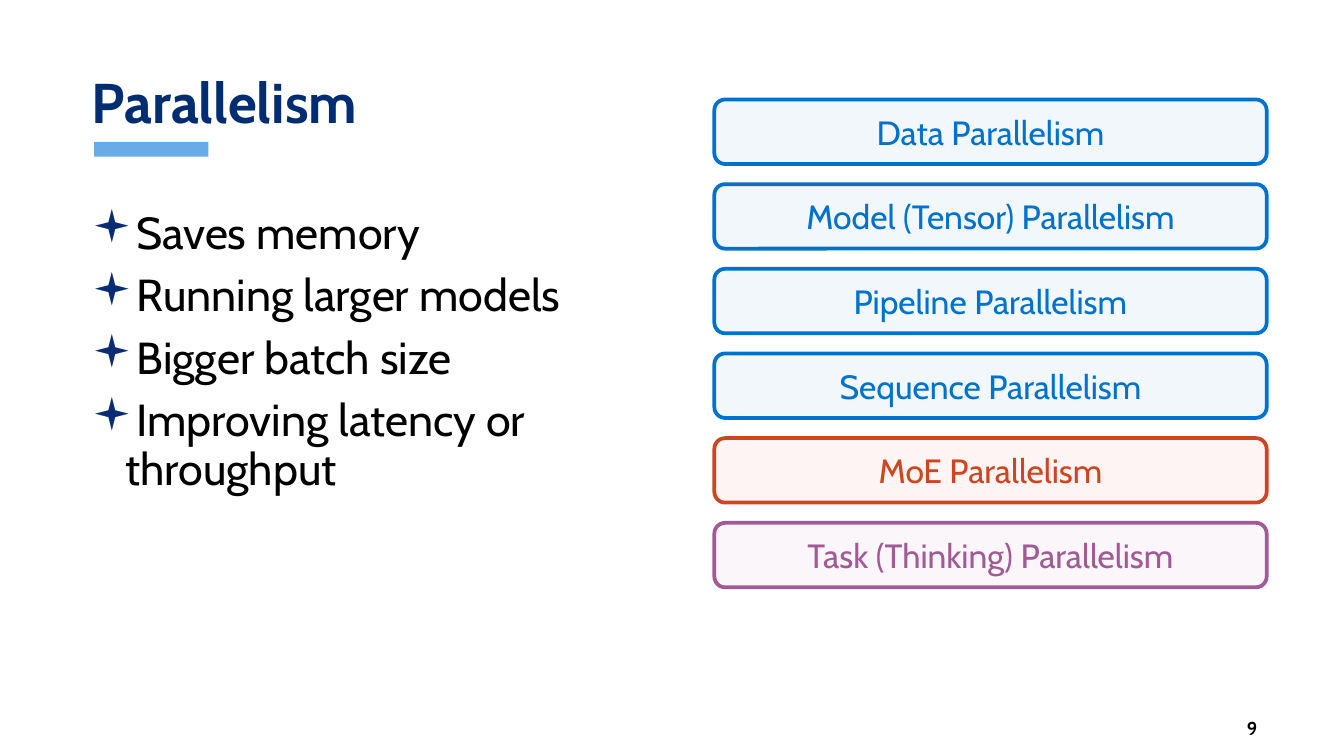
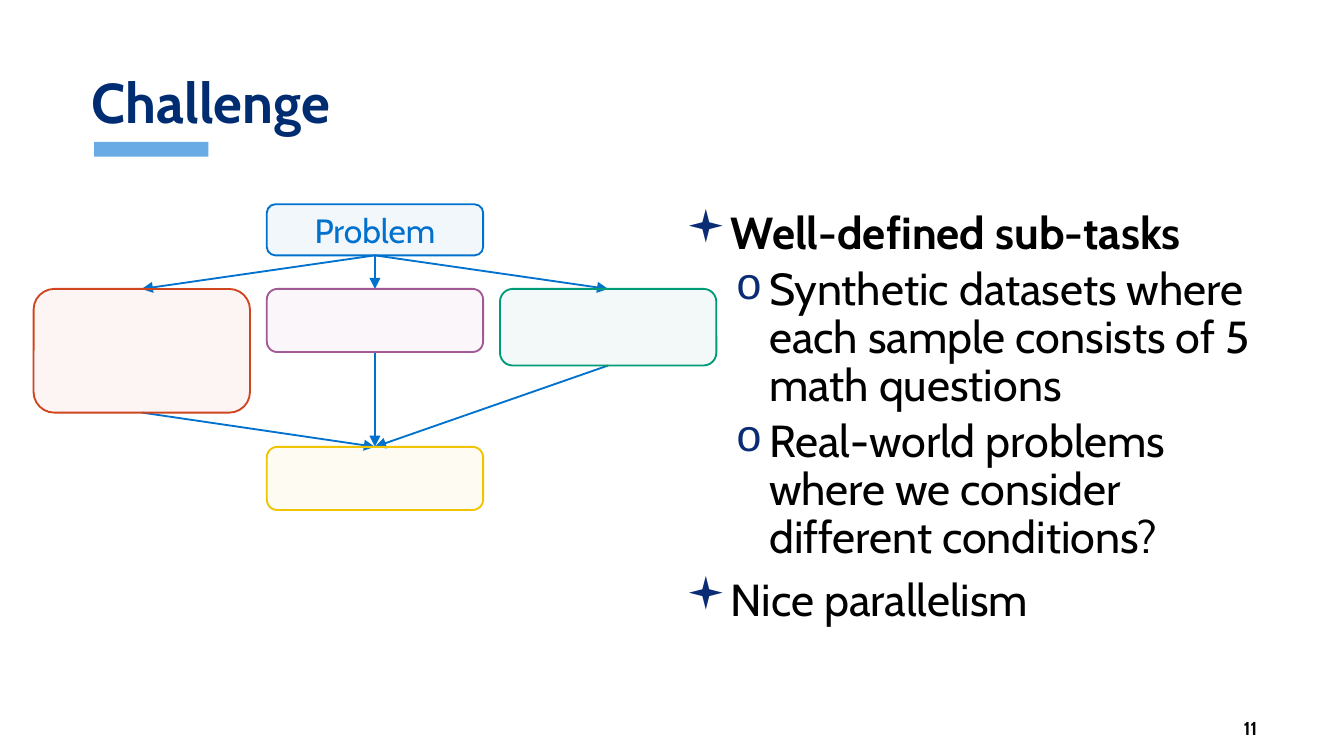
from lxml import etree
from pptx import Presentation
from pptx import util as u
from pptx.dml.color import RGBColor
from pptx.enum import shapes, text
from pptx.oxml import ns

PX = 4572
FONT = "Cabin"
HUES = {
    "navy": "002D72", "mark": "092C74", "band": "69ACE5", "black": "000000",
    "blue": "0072CE", "red": "CF4520", "plum": "A15A95",
    "green": "009B77", "gold": "F1C400",
}
LEVELS = (
    (50, "▪", "Wingdings", 7.5),
    (124, "o", "Courier New", 3.8),
)
TOP, FOOT = 0, 2


def px(*vals):
    return [u.Emu(v * PX) for v in vals]


def hue(name):
    return RGBColor.from_string(HUES[name])


def sub(node, tag, **atts):
    return etree.SubElement(node, ns.qn(tag), atts)


def add_run(para, words, size, color, bold=False):
    run = para.add_run()
    run.text = words
    font = run.font
    font.name, font.size, font.bold = FONT, u.Pt(size), bold
    font.color.rgb = hue(color)


def add_text(slide, at, anchor):
    frame = slide.shapes.add_textbox(*px(*at)).text_frame
    frame.word_wrap = True
    frame.vertical_anchor = anchor
    return frame


def add_base(deck, title, page):
    slide = deck.slides.add_slide(deck.slide_layouts[6])
    band = slide.shapes.add_shape(shapes.MSO_SHAPE.RECTANGLE, *px(140, 211, 170, 22))
    band.shadow.inherit = False
    band.fill.solid()
    band.fill.fore_color.rgb = hue("band")
    band.line.fill.background()

    foot = add_text(slide, (1726, 1064, 174, 38), text.MSO_ANCHOR.MIDDLE)
    foot.margin_top = foot.margin_bottom = 0
    foot.margin_right = u.Emu(29 * PX)
    para = foot.paragraphs[0]
    para.alignment = text.PP_ALIGN.RIGHT
    add_run(para, str(page), 10, "black", True)

    head = add_text(slide, (117, 24, 1768, 188), text.MSO_ANCHOR.BOTTOM)
    para = head.paragraphs[0]
    para.line_spacing = 0.9
    add_run(para, title, 30, "navy", True)
    return slide


def add_list(slide, at, items):
    frame = add_text(slide, at, text.MSO_ANCHOR.TOP)
    for num, (level, words, bold) in enumerate(items):
        para = frame.paragraphs[0] if num == 0 else frame.add_paragraph()
        left, mark, face, space = LEVELS[level]
        props = para._p.get_or_add_pPr()
        props.set("marL", str(left * PX))
        props.set("indent", str(-50 * PX))
        color = sub(props, "a:buClr")
        sub(color, "a:srgbClr", val=HUES["mark"])
        sub(props, "a:buFont", typeface=face)
        sub(props, "a:buChar", char=mark)
        para.level = level
        para.line_spacing = 0.9
        if num:
            para.space_before = u.Pt(space)
        add_run(para, words, 24, "black", bold)


def add_box(slide, at, color, width, words=""):
    box = slide.shapes.add_shape(shapes.MSO_SHAPE.ROUNDED_RECTANGLE, *px(*at))
    box.shadow.inherit = False
    box.fill.solid()
    box.fill.fore_color.rgb = hue(color)
    tint = box._element.spPr.find(ns.qn("a:solidFill"))[0]
    sub(tint, "a:alpha", val="5000")
    box.line.color.rgb = hue(color)
    box.line.width = u.Pt(width)
    if words:
        frame = box.text_frame
        frame.vertical_anchor = text.MSO_ANCHOR.MIDDLE
        frame.margin_top = frame.margin_bottom = 0
        para = frame.paragraphs[0]
        para.alignment = text.PP_ALIGN.CENTER
        add_run(para, words, 18, color)
    return box


def add_arrow(slide, start, end, front):
    line = slide.shapes.add_connector(shapes.MSO_CONNECTOR.STRAIGHT, 0, 0, 0, 0)
    line.begin_connect(start, FOOT)
    line.end_connect(end, TOP)
    line.line.color.rgb = hue("blue")
    line.line.width = u.Pt(1)
    sub(line.line._get_or_add_ln(), "a:tailEnd", type="triangle")
    sub(line._element.spPr, "a:effectLst")
    front._element.addprevious(line._element)


def draw_kinds(deck):
    slide = add_base(deck, "Parallelism", 9)
    gains = ("Saves memory", "Running larger models", "Bigger batch size",
             "Improving latency or throughput")
    add_list(slide, (117, 304, 883, 674), [(0, gain, False) for gain in gains])
    kinds = (("Data", "blue"), ("Model (Tensor)", "blue"), ("Pipeline", "blue"),
             ("Sequence", "blue"), ("MoE", "red"), ("Task (Thinking)", "plum"))
    for row, (kind, color) in enumerate(kinds):
        add_box(slide, (1063, 148 + 126 * row, 822, 96), color, 2, kind + " Parallelism")


def draw_tasks(deck):
    slide = add_base(deck, "Challenge", 11)
    add_list(slide, (1001, 304, 885, 820), [
        (0, "Well-defined sub-tasks", True),
        (1, "Synthetic datasets where each sample consists of 5 math questions", False),
        (1, "Real-world problems where we consider different conditions?", False),
        (0, "Nice parallelism", False),
    ])
    left, step, wide = 50, 347, 322
    mid = left + step
    root = add_box(slide, (mid, 304, wide, 76), "blue", 1, "Problem")
    tasks = [add_box(slide, (left + step * col, 430, wide, high), color, 1)
             for col, (color, high) in enumerate((("red", 184), ("plum", 94), ("green", 114)))]
    goal = add_box(slide, (mid, 665, wide, 94), "gold", 1)
    for task in tasks:
        add_arrow(slide, root, task, root)
        add_arrow(slide, task, goal, root)


def main():
    deck = Presentation()
    deck.slide_width, deck.slide_height = px(2000, 1125)
    draw_kinds(deck)
    draw_tasks(deck)
    deck.save("out.pptx")


if __name__ == "__main__":
    main()
